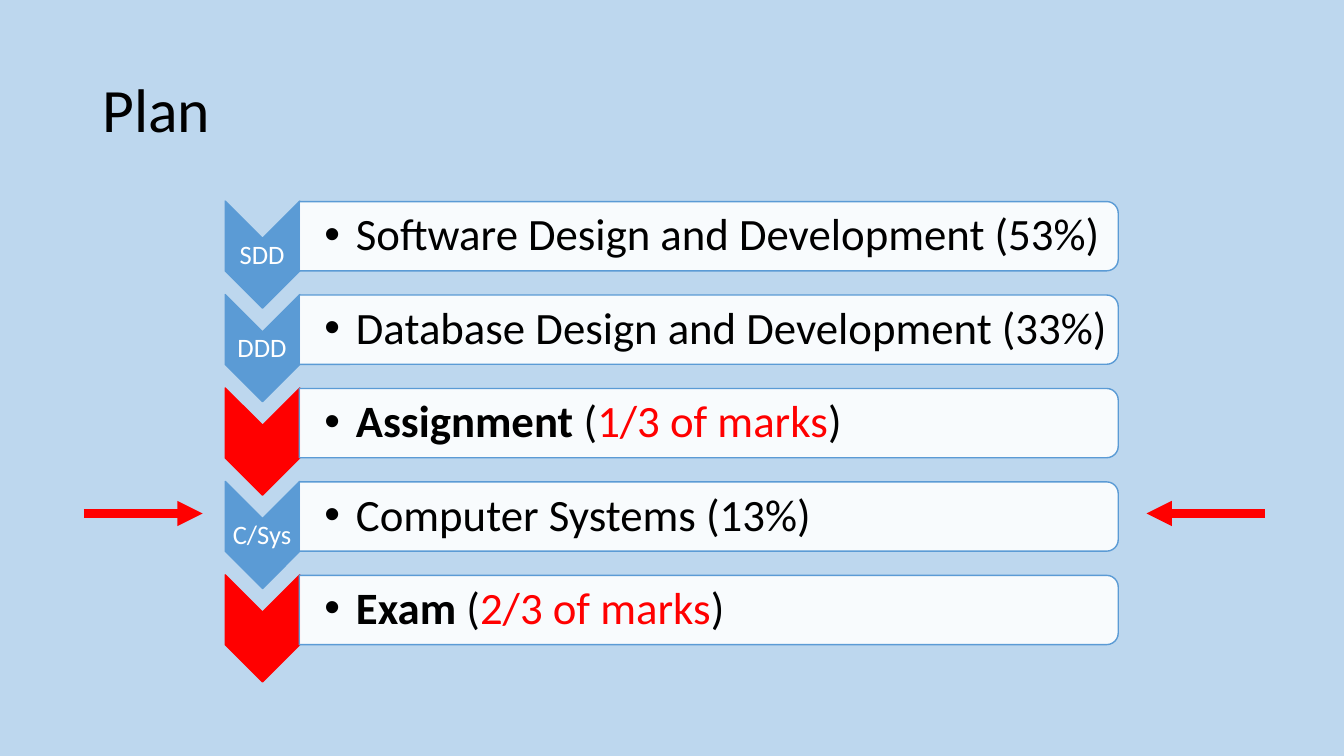
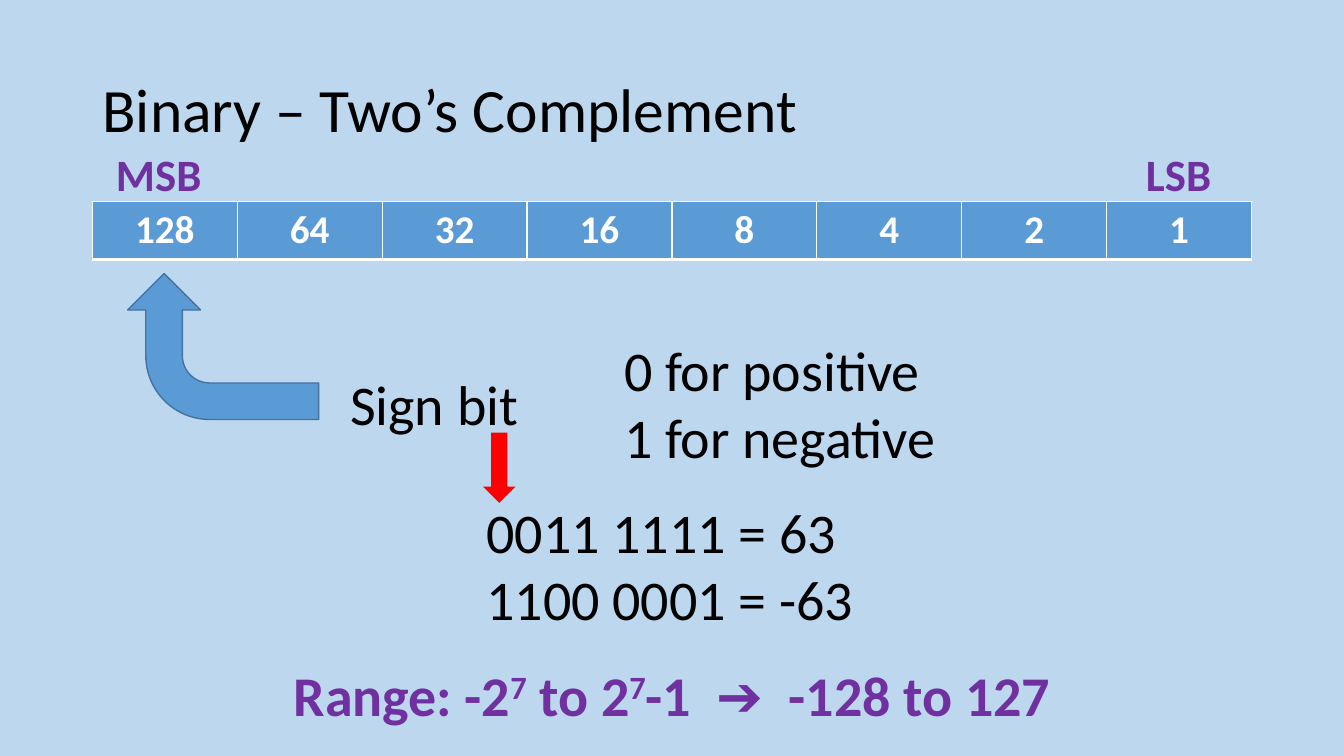
import dataclasses

import pptx
import pptx.dml.color
import pptx.enum.shapes
import pptx.enum.text
import pptx.oxml
import pptx.oxml.ns
import pptx.util
from lxml import etree

EMU_PER_PX = 9525
SHAPE = pptx.enum.shapes.MSO_SHAPE
ALIGN = pptx.enum.text.PP_ALIGN
ANCHOR = pptx.enum.text.MSO_ANCHOR
AUTO_SIZE = pptx.enum.text.MSO_AUTO_SIZE
qn = pptx.oxml.ns.qn


@dataclasses.dataclass(frozen=True)
class Theme:
    font: str = "Calibri"
    background: str = "BDD7EE"
    blue: str = "5B9BD5"
    dark_blue: str = "43739E"
    red: str = "FF0000"
    purple: str = "7030A0"
    black: str = "000000"
    white: str = "FFFFFF"
    title_size: int = 44
    body_size: int = 40
    item_size: int = 32
    cell_size: int = 28
    tag_size: int = 19


THEME = Theme()


def px(*lengths):
    return [pptx.util.Emu(length * EMU_PER_PX) for length in lengths]


def rgb(value):
    return pptx.dml.color.RGBColor.from_string(value)


def style_font(paragraph, size, color=THEME.black, bold=False):
    font = paragraph.font
    font.name = THEME.font
    font.size = pptx.util.Pt(size)
    font.bold = bold
    font.color.rgb = rgb(color)


def add_run(paragraph, text, color=None, bold=None, raised=False, spacing=0):
    run = paragraph.add_run()
    run.text = text
    if color:
        run.font.color.rgb = rgb(color)
    if bold is not None:
        run.font.bold = bold
    properties = run.font._element
    if raised:
        properties.set("baseline", "30000")
    if spacing:
        properties.set("spc", str(spacing * 100))


def add_slide(deck, title_text):
    slide = deck.slides.add_slide(deck.slide_layouts[5])
    title = slide.shapes.title
    title.left, title.top, title.width, title.height = px(88, 38, 1104, 139)
    frame = title.text_frame
    frame.text = title_text
    frame.auto_size = AUTO_SIZE.NONE
    frame.vertical_anchor = ANCHOR.MIDDLE
    heading = frame.paragraphs[0]
    heading.alignment = ALIGN.LEFT
    heading.line_spacing = 0.9
    style_font(heading, THEME.title_size)
    return slide


def add_figure(slide, kind, box, fill, line=None, rotation=0, opacity=100):
    figure = slide.shapes.add_shape(kind, *px(*box))
    figure.shadow.inherit = False
    figure.rotation = rotation
    figure.fill.solid()
    figure.fill.fore_color.rgb = rgb(fill)
    if opacity < 100:
        color = figure._element.spPr.find(qn("a:solidFill"))[0]
        etree.SubElement(color, qn("a:alpha"), val=str(opacity * 1000))
    if line:
        figure.line.color.rgb = rgb(line)
        figure.line.width = pptx.util.Pt(1)
    else:
        figure.line.fill.background()


def add_text(slide, box, lines, size=THEME.body_size, color=THEME.black,
             bold=False, align=ALIGN.LEFT):
    frame = slide.shapes.add_textbox(*px(*box)).text_frame
    frame.word_wrap = False
    frame.auto_size = AUTO_SIZE.SHAPE_TO_FIT_TEXT
    for index, runs in enumerate(lines):
        paragraph = frame.add_paragraph() if index else frame.paragraphs[0]
        paragraph.alignment = align
        style_font(paragraph, size, color, bold)
        for text, style in runs:
            add_run(paragraph, text, **style)


def add_row_text(slide, box, left_inset, inset):
    frame = slide.shapes.add_textbox(*px(*box)).text_frame
    frame.word_wrap = True
    frame.vertical_anchor = ANCHOR.MIDDLE
    frame.margin_left, frame.margin_top = px(left_inset, inset)
    frame.margin_right, frame.margin_bottom = px(inset, inset)
    paragraph = frame.paragraphs[0]
    paragraph.line_spacing = 0.9
    return paragraph


def add_tag(slide, box, text):
    paragraph = add_row_text(slide, box, 1, 1)
    paragraph.alignment = ALIGN.CENTER
    style_font(paragraph, THEME.tag_size, THEME.white)
    add_run(paragraph, text)


def add_item(slide, box, runs):
    paragraph = add_row_text(slide, box, 24, 2)
    properties = paragraph._p.get_or_add_pPr()
    indent = px(30)[0]
    properties.set("marL", str(indent))
    properties.set("indent", str(-indent))
    etree.SubElement(properties, qn("a:buFont"), typeface="Arial")
    etree.SubElement(properties, qn("a:buChar"), char="•")
    style_font(paragraph, THEME.item_size)
    for text, style in runs:
        add_run(paragraph, text, **style)


def add_plan_row(slide, top, tag, runs):
    color = THEME.blue if tag else THEME.red
    add_figure(slide, SHAPE.CHEVRON, (199, top + 16, 102, 71), color, color, 90)
    if tag:
        add_tag(slide, (214, top + 37, 71, 31), tag)
    add_figure(slide, SHAPE.ROUND_2_SAME_RECTANGLE, (642, top - 356, 66, 780),
               THEME.white, THEME.blue, 90, opacity=90)
    add_item(slide, (285, top + 4, 777, 60), runs)


def add_pointer(slide, start, end, y):
    pointer = slide.shapes.add_connector(
        pptx.enum.shapes.MSO_CONNECTOR.STRAIGHT, *px(start, y, end, y))
    pointer.line.color.rgb = rgb(THEME.red)
    pointer.line.width = pptx.util.Pt(6)
    etree.SubElement(pointer.line._get_or_add_ln(), qn("a:tailEnd"), type="triangle")
    etree.SubElement(pointer._element.spPr, qn("a:effectLst"))


def add_border(cell, side, points):
    border = etree.SubElement(cell._tc.get_or_add_tcPr(), qn(f"a:ln{side}"),
                              w=str(pptx.util.Pt(points)))
    fill = etree.SubElement(border, qn("a:solidFill"))
    etree.SubElement(fill, qn("a:srgbClr"), val=THEME.white)


def add_place_values(slide, bits=8):
    column_width = 138
    table = slide.shapes.add_table(
        1, bits, *px(88, 192, column_width * bits, 55)).table
    for index in range(bits):
        table.columns[index].width = px(column_width)[0]
        cell = table.cell(0, index)
        for side, points in (("L", 1), ("R", 1), ("T", 1), ("B", 3)):
            add_border(cell, side, points)
        cell.fill.solid()
        cell.fill.fore_color.rgb = rgb(THEME.blue)
        cell.text = str(2 ** (bits - 1 - index))
        paragraph = cell.text_frame.paragraphs[0]
        paragraph.alignment = ALIGN.CENTER
        style_font(paragraph, THEME.cell_size, THEME.white, bold=True)


def weighted(name, share):
    return [(name, {"bold": True}), (" (", {}),
            (f"{share} of marks", {"color": THEME.red}), (")", {})]


def build_plan(deck):
    slide = add_slide(deck, "Plan")
    units = [
        ("SDD", [("Software Design and Development (53%)", {})]),
        ("DDD", [("Database Design and Development (33%)", {})]),
        (None, weighted("Assignment", "1/3")),
        ("C/Sys", [("Computer Systems (13%)", {})]),
        (None, weighted("Exam", "2/3")),
    ]
    for index, (tag, runs) in enumerate(units):
        add_plan_row(slide, 191 + 89 * index, tag, runs)
    for start, end in ((80, 193), (1205, 1092)):
        add_pointer(slide, start, end, 489)


def build_twos_complement(deck):
    slide = add_slide(deck, "Binary – Two’s Complement")
    add_place_values(slide)
    add_figure(slide, SHAPE.BENT_ARROW, (143, 239, 139, 182),
               THEME.blue, THEME.dark_blue, 270)
    for box, lines in (
        ((324, 347, 180, 74), ["Sign bit"]),
        ((585, 315, 319, 139), ["0 for positive", "1 for negative"]),
        ((454, 469, 372, 139), ["0011 1111 = 63", "1100 0001 = -63"]),
    ):
        add_text(slide, box, [[(line, {})] for line in lines])
    exponent = ("7", {"raised": True})
    value_range = [("Range: -2", {}), exponent, (" to 2", {}), exponent,
                   ("-1", {}), (" ➔", {"bold": False, "spacing": 9}),
                   (" -128 to 127", {})]
    add_text(slide, (258, 624, 764, 74), [value_range], color=THEME.purple,
             bold=True, align=ALIGN.CENTER)
    for left, width, end_bit in ((101, 102, "MSB"), (1082, 83, "LSB")):
        add_text(slide, (left, 135, width, 61), [[(end_bit, {})]],
                 THEME.item_size, THEME.purple, bold=True)
    add_figure(slide, SHAPE.DOWN_ARROW, (460, 412, 31, 67), THEME.red)


def main():
    deck = pptx.Presentation()
    deck.slide_width, deck.slide_height = px(1280, 720)
    backdrop = deck.slide_master.background.fill
    backdrop.solid()
    backdrop.fore_color.rgb = rgb(THEME.background)
    build_plan(deck)
    build_twos_complement(deck)
    deck.save("out.pptx")


if __name__ == "__main__":
    main()
